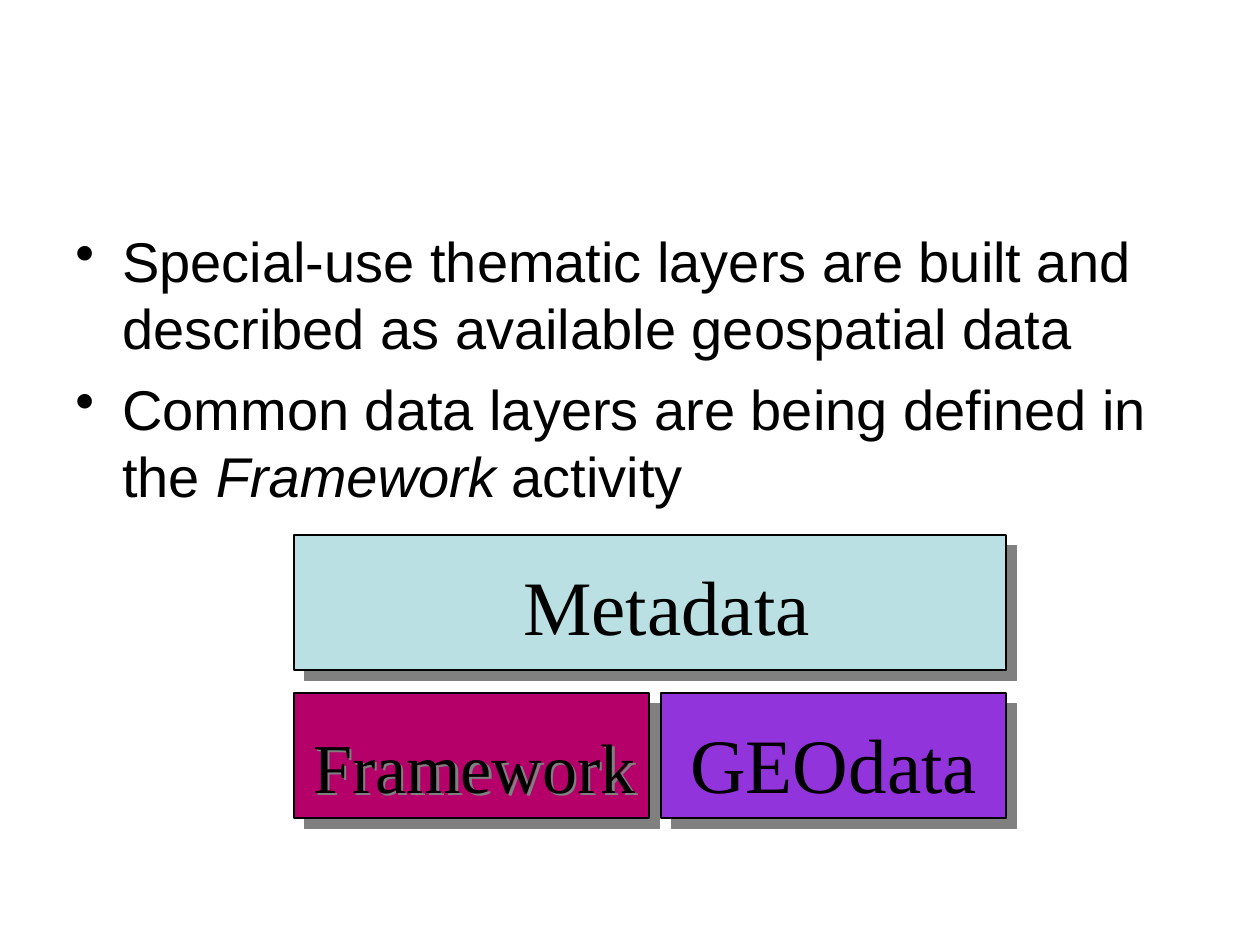
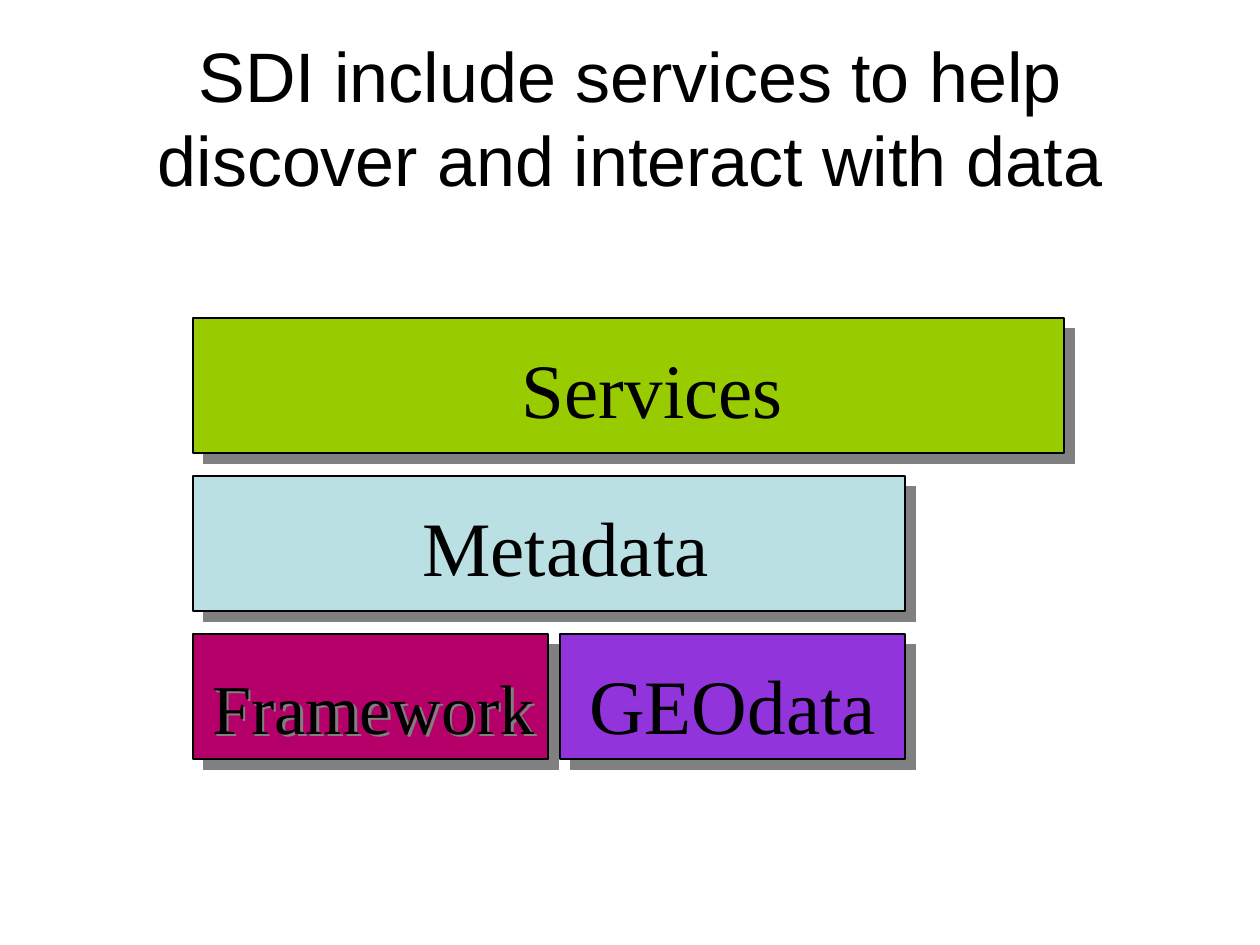
from lxml import etree
from pptx import Presentation, util as u
from pptx.dml.color import RGBColor
from pptx.enum import shapes, text
from pptx.oxml.ns import qn

PX = 914400 / 126
COLORS = {"ink": "000000", "shadow": "808080", "services": "99CC00",
          "metadata": "BBE0E3", "geodata": "9234DB", "framework": "B50069"}
SANS, SERIF = "Arial", "Times New Roman"
ROW_STEP = 158

# name: block offset and size in the stack, label offset and size in the block
BLOCKS = {
    "Metadata": ((0, 0, 712, 135), (217, 17, 314, 105)),
    "GEOdata": ((367, ROW_STEP, 345, 125), (17, 17, 314, 105)),
    "Services": ((0, -ROW_STEP, 871, 135), (59, 17, 801, 105)),
    "Framework": ((0, ROW_STEP, 355, 125), (7, 24, 350, 96)),
}


def px(*lengths):
    return [u.Emu(round(length * PX)) for length in lengths]


def color(name):
    return RGBColor.from_string(COLORS[name])


def add_shadow(shape, points):
    """Give the shape a hard shadow, cast down and to the right."""
    effects = etree.SubElement(shape._element.spPr, qn("a:effectLst"))
    shadow = etree.SubElement(effects, qn("a:outerShdw"), dist=str(u.Pt(points)),
                              dir="2700000", algn="ctr", rotWithShape="0")
    etree.SubElement(shadow, qn("a:srgbClr"), val=COLORS["shadow"])


def style(para, font, size, align=text.PP_ALIGN.LEFT):
    para.alignment = align
    para.font.name = font
    para.font.size = u.Pt(size)
    para.font.color.rgb = color("ink")


def add_title(page, left, top, width, height, wording):
    frame = page.shapes.add_textbox(*px(left, top, width, height)).text_frame
    frame.word_wrap = True
    frame.vertical_anchor = text.MSO_ANCHOR.MIDDLE
    para = frame.paragraphs[0]
    para.add_run().text = wording
    style(para, SANS, 40, text.PP_ALIGN.CENTER)


def add_bullets(page, left, top, width, height, items):
    """Each item is a list of (wording, italic) spans."""
    frame = page.shapes.add_textbox(*px(left, top, width, height)).text_frame
    frame.word_wrap = True
    for index, spans in enumerate(items):
        para = frame.add_paragraph() if index else frame.paragraphs[0]
        properties = para._p.get_or_add_pPr()
        indent = px(47)[0]
        properties.set("marL", str(indent))
        properties.set("indent", str(-indent))
        etree.SubElement(properties, qn("a:buChar"), char="•")
        style(para, SANS, 32)
        if index:
            para.space_before = u.Pt(8)
        for wording, italic in spans:
            span = para.add_run()
            span.text = wording
            if italic:
                span.font.italic = True


def add_block(page, left, top, name):
    (dx, dy, width, height), (label_dx, label_dy, *label_size) = BLOCKS[name]
    left, top = left + dx, top + dy
    group = page.shapes.add_group_shape()

    block = group.shapes.add_shape(shapes.MSO_SHAPE.RECTANGLE,
                                   *px(left, top, width, height))
    block.fill.solid()
    block.fill.fore_color.rgb = color(name.lower())
    block.line.color.rgb = color("ink")
    block.line.width = u.Pt(1)
    add_shadow(block, 8.5)

    label = group.shapes.add_textbox(*px(left + label_dx, top + label_dy, *label_size))
    frame = label.text_frame
    frame.word_wrap = name == "Services"
    frame.auto_size = text.MSO_AUTO_SIZE.SHAPE_TO_FIT_TEXT
    para = frame.paragraphs[0]
    para.add_run().text = name
    align = text.PP_ALIGN.CENTER if name == "Services" else text.PP_ALIGN.LEFT
    style(para, SERIF, 40 if name == "Framework" else 44, align)
    if name == "Framework":
        add_shadow(label, 2)


def add_stack(page, left, top, names):
    for name in names:
        add_block(page, left, top, name)


def main():
    deck = Presentation()
    deck.slide_width, deck.slide_height = px(1260, 945)
    blank = deck.slide_layouts[6]

    layers = deck.slides.add_slide(blank)
    add_bullets(layers, 63, 220, 1134, 624, [
        [("Special-use thematic layers are built and described as "
          "available geospatial data", False)],
        [("Common data layers are being defined in the ", False),
         ("Framework", True), (" activity", False)],
    ])
    add_stack(layers, 294, 535, ["Metadata", "GEOdata", "Framework"])

    services = deck.slides.add_slide(blank)
    add_title(services, 63, 38, 1134, 157,
              "SDI include services to help discover and interact with data")
    add_stack(services, 193, 476, ["Metadata", "GEOdata", "Services", "Framework"])

    deck.save("out.pptx")


if __name__ == "__main__":
    main()
